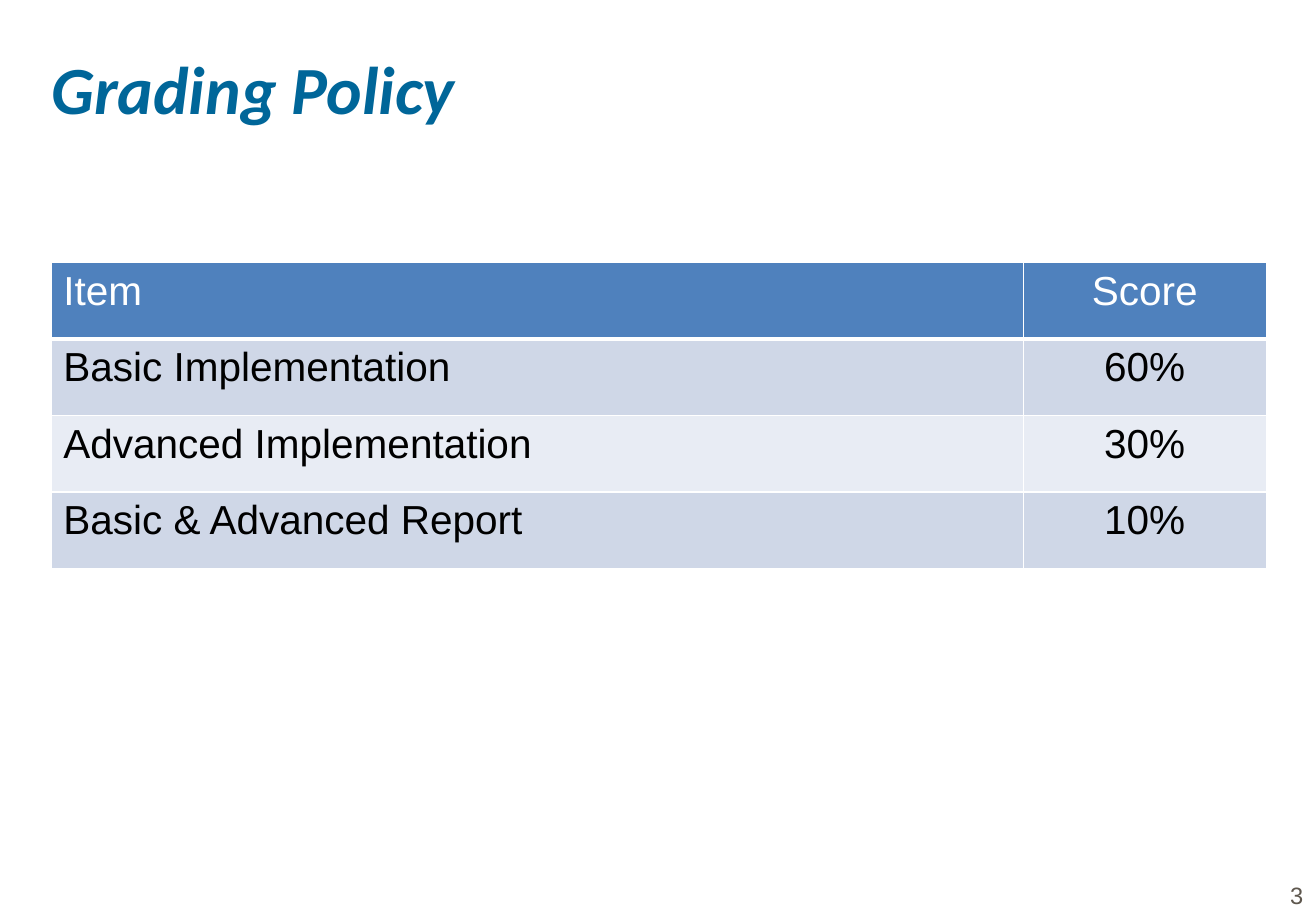
from dataclasses import dataclass

from lxml import etree
from pptx import Presentation
from pptx import util as u
from pptx.dml.color import RGBColor
from pptx.enum import text
from pptx.oxml import ns


@dataclass(frozen=True)
class Theme:
    title_font: str = "Calibri"
    body_font: str = "Arial"
    title_size: int = 40
    table_size: int = 24
    number_size: int = 14
    title: str = "006699"
    number: str = "5E574E"
    header: str = "4F81BD"
    bands: tuple = ("CFD7E7", "E8ECF4")
    light: str = "FFFFFF"
    dark: str = "000000"


THEME = Theme()
GRADES = [
    ("Item", "Score"),
    ("Basic Implementation", "60%"),
    ("Advanced Implementation", "30%"),
    ("Basic & Advanced Report", "10%"),
]


def style(p, font, size, color, bold=False, italic=False):
    p.font.name = font
    p.font.size = u.Pt(size)
    p.font.color.rgb = RGBColor.from_string(color)
    p.font.bold = bold
    p.font.italic = italic


def add_label(s, box, words):
    """Add a text box without margins and return its paragraph."""
    tf = s.shapes.add_textbox(*(u.Cm(v) for v in box)).text_frame
    tf.word_wrap = True
    tf.margin_left = tf.margin_top = tf.margin_right = tf.margin_bottom = 0
    p = tf.paragraphs[0]
    p.text = words
    return p


def add_title(s, box, words):
    p = add_label(s, box, words)
    style(p, THEME.title_font, THEME.title_size, THEME.title, True, True)


def add_page_number(s, box, number):
    p = add_label(s, box, str(number))
    p.line_spacing = 1.18
    style(p, THEME.body_font, THEME.number_size, THEME.number)


def set_borders(cell, **widths):
    """Draw the L, R, T and B borders at the given widths in points."""
    tc_pr = cell._tc.get_or_add_tcPr()
    for side, width in widths.items():
        ln = etree.SubElement(tc_pr, ns.qn(f"a:ln{side}"), w=str(u.Pt(width)))
        fill = etree.SubElement(ln, ns.qn("a:solidFill"))
        etree.SubElement(fill, ns.qn("a:srgbClr"), val=THEME.light)


def add_grades(s, box, rows, shares):
    """Add the table, dividing the box width by the column shares."""
    left, top, width, height = box
    table = s.shapes.add_table(
        len(rows), len(shares), *(u.Cm(v) for v in box)
    ).table
    for column, share in zip(table.columns, shares):
        column.width = u.Cm(width * share)
    for i, row in enumerate(rows):
        table.rows[i].height = u.Cm(height / len(rows))
        is_header = i == 0
        fill = THEME.header if is_header else THEME.bands[(i - 1) % 2]
        color = THEME.light if is_header else THEME.dark
        for j, words in enumerate(row):
            cell = table.cell(i, j)
            set_borders(cell, L=1, R=1, T=3 if i == 1 else 1,
                        B=3 if is_header else 1)
            cell.fill.solid()
            cell.fill.fore_color.rgb = RGBColor.from_string(fill)
            p = cell.text_frame.paragraphs[0]
            p.text = words
            p.alignment = text.PP_ALIGN.CENTER if j else text.PP_ALIGN.LEFT
            style(p, THEME.body_font, THEME.table_size, color)


def main():
    prs = Presentation()
    prs.slide_width, prs.slide_height = u.Cm(27.51), u.Cm(19.05)
    s = prs.slides.add_slide(prs.slide_layouts[6])
    add_title(s, (1.07, 0.99, 25.37, 1.75), "Grading Policy")
    add_grades(s, (1.07, 5.49, 25.4, 6.4), GRADES, (0.8, 0.2))
    add_page_number(s, (26.97, 18.31, 0.4, 0.64), 3)
    prs.save("out.pptx")


if __name__ == "__main__":
    main()
